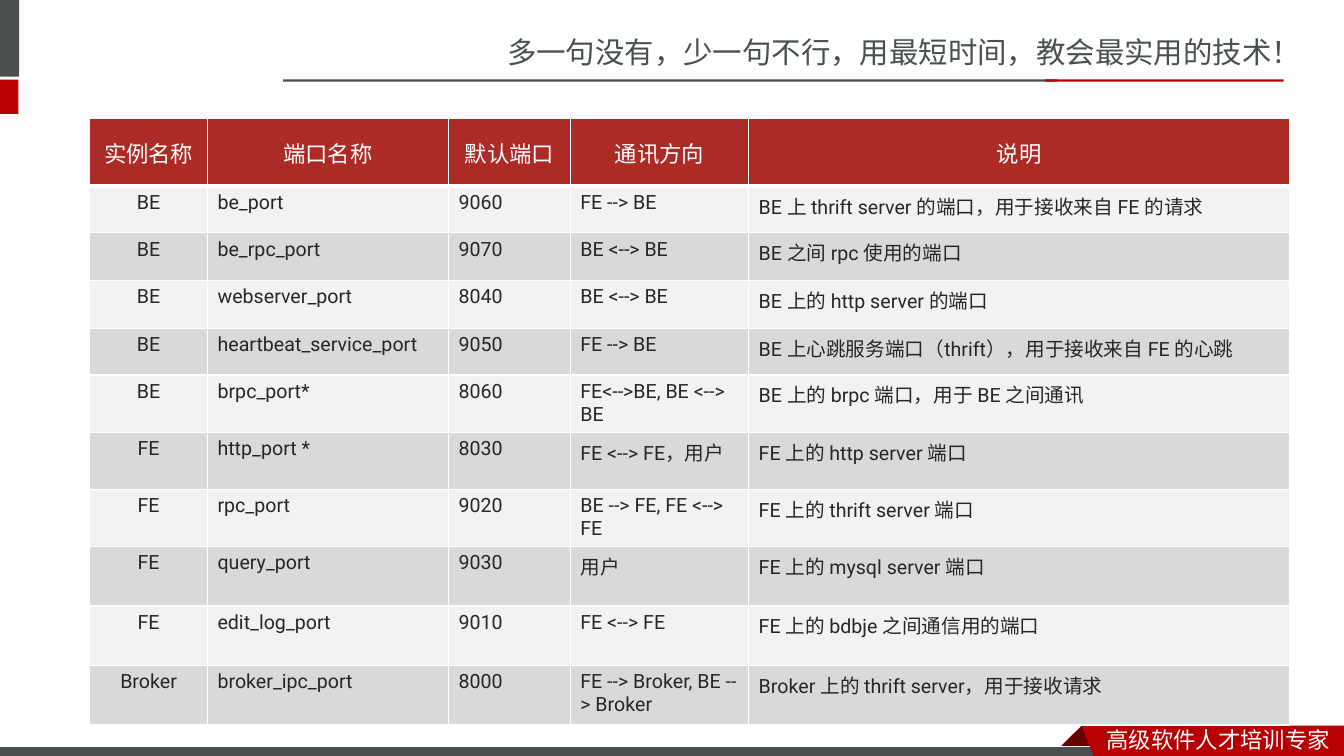
from lxml.etree import SubElement as Sub
from pptx import Presentation
from pptx.dml.color import RGBColor
from pptx.enum.shapes import MSO_SHAPE as Kind
from pptx.enum.text import MSO_ANCHOR as Anchor, MSO_AUTO_SIZE as Auto, PP_ALIGN as Align
from pptx.oxml.ns import qn
from pptx.util import Pt

GRAY = RGBColor(0x49, 0x50, 0x4F)
RED = RGBColor(0xB6, 0x00, 0x04)
DARK = RGBColor(0x68, 0x00, 0x00)
BRICK = RGBColor(0xAD, 0x2B, 0x26)
WHITE = RGBColor(0xFF, 0xFF, 0xFF)
INK = RGBColor(0x26, 0x26, 0x26)
LIGHT = RGBColor(0xF2, 0xF2, 0xF2)
MID = RGBColor(0xD9, 0xD9, 0xD9)
HAN = "Noto Sans CJK SC"


def write(frame, text, face, size, color, align=Align.LEFT):
    para = frame.paragraphs[0]
    para.alignment = align
    run = para.add_run()
    run.text = text
    run.font.color.rgb = color
    for key, val in {"name": face, "size": Pt(size), "bold": False}.items():
        setattr(run.font, key, val)
    Sub(run.font._element, qn("a:ea"), typeface=HAN)
    return para


def paint(shape, color):
    shape.shadow.inherit = False
    shape.fill.solid()
    shape.fill.fore_color.rgb = color
    shape.line.fill.background()


deck = Presentation()
deck.slide_width, deck.slide_height = Pt(960), Pt(540)
slide = deck.slides.add_slide(deck.slide_layouts[5])
shapes = slide.shapes

title = shapes.title
place = {"left": 355, "top": 20.2, "width": 605, "height": 33.8}
for key, val in place.items():
    setattr(title, key, Pt(val))
form = {"word_wrap": True, "auto_size": Auto.NONE, "vertical_anchor": Anchor.MIDDLE}
for key, val in form.items():
    setattr(title.text_frame, key, val)
write(title.text_frame, "多一句没有，少一句不行，用最短时间，教会最实用的技术！", HAN, 21, GRAY)

bars = [
    (-4.3, 0, 18, 54.7, GRAY),
    (-4.3, 56.9, 17.5, 24.5, RED),
    (202.3, 56.7, 553, 1.6, GRAY),
    (746.6, 56.7, 170.4, 1.6, RED),
]
for x, y, w, h, color in bars:
    paint(shapes.add_shape(Kind.RECTANGLE, Pt(x), Pt(y), Pt(w), Pt(h)), color)

tip = (772.6, 518.4)
fold = [(788.4, 534.2), (787.7, 535), (757.4, 535), (756.7, 534.2)]
band = [(960, 518.4), (960, 542.9), (781.9, 542.2)]
for points, color in ((fold, DARK), (band, RED)):
    if points is band:
        base = shapes.add_shape(Kind.RECTANGLE, Pt(-0.7), Pt(533.5), Pt(792), Pt(8.6))
        paint(base, GRAY)
        base.line.color.rgb = WHITE
        base.line.width = Pt(0.75)
    path = shapes.build_freeform(Pt(tip[0]), Pt(tip[1]))
    path.add_line_segments([(Pt(x), Pt(y)) for x, y in points], close=True)
    paint(path.convert_to_shape(), color)

motto = shapes.add_textbox(Pt(783.4), Pt(514.8), Pt(176.6), Pt(26.6))
motto.text_frame.word_wrap = True
write(motto.text_frame, "高级软件人才培训专家", HAN, 16, WHITE)

rows = [
    ("实例名称", "端口名称", "默认端口", "通讯方向", "说明"),
    ("BE", "be_port", "9060", "FE --> BE", "BE 上 thrift server 的端口，用于接收来自 FE 的请求"),
    ("BE", "be_rpc_port", "9070", "BE <--> BE", "BE 之间 rpc 使用的端口"),
    ("BE", "webserver_port", "8040", "BE <--> BE", "BE 上的 http server 的端口"),
    ("BE", "heartbeat_service_port", "9050", "FE --> BE",
     "BE 上心跳服务端口（thrift），用于接收来自 FE 的心跳"),
    ("BE", "brpc_port*", "8060", "FE<-->BE, BE <--> BE", "BE 上的 brpc 端口，用于 BE 之间通讯"),
    ("FE", "http_port *", "8030", "FE <--> FE，用户", "FE 上的 http server 端口"),
    ("FE", "rpc_port", "9020", "BE --> FE, FE <--> FE", "FE 上的 thrift server 端口"),
    ("FE", "query_port", "9030", "用户", "FE 上的 mysql server 端口"),
    ("FE", "edit_log_port", "9010", "FE <--> FE", "FE 上的 bdbje 之间通信用的端口"),
    ("Broker", "broker_ipc_port", "8000", "FE --> Broker, BE --> Broker",
     "Broker 上的 thrift server，用于接收请求"),
]
wides = [84, 172.2, 87, 127.4, 386.6]
highs = [48.5, 33.2, 34.2, 34, 33.4, 40.8, 40.8, 40.8, 42.5, 42.5, 42.5]
grid = shapes.add_table(len(rows), len(wides), Pt(64.2), Pt(84.6),
                        Pt(sum(wides)), Pt(sum(highs))).table
for col, wide in zip(grid.columns, wides):
    col.width = Pt(wide)
for r, (row, high) in enumerate(zip(rows, highs)):
    grid.rows[r].height = Pt(high)
    head = r == 0
    for c, text in enumerate(row):
        cell = grid.cell(r, c)
        align = Align.CENTER if head or c == 0 else Align.LEFT
        para = write(cell.text_frame, text, "Roboto", 16 if head else 14,
                     WHITE if head else INK, align)
        if head:
            para.line_spacing = Pt(24)
        cell.vertical_anchor = Anchor.MIDDLE if head else Anchor.TOP
        props = cell._tc.get_or_add_tcPr()
        for side in "LRTB":
            thick = (r, side) in ((0, "B"), (1, "T"))
            edge = Sub(props, qn("a:ln" + side), w=str(Pt(3 if thick else 1)))
            Sub(Sub(edge, qn("a:solidFill")), qn("a:srgbClr"), val=str(WHITE))
        cell.fill.solid()
        cell.fill.fore_color.rgb = BRICK if head else LIGHT if r % 2 else MID

deck.save("out.pptx")
